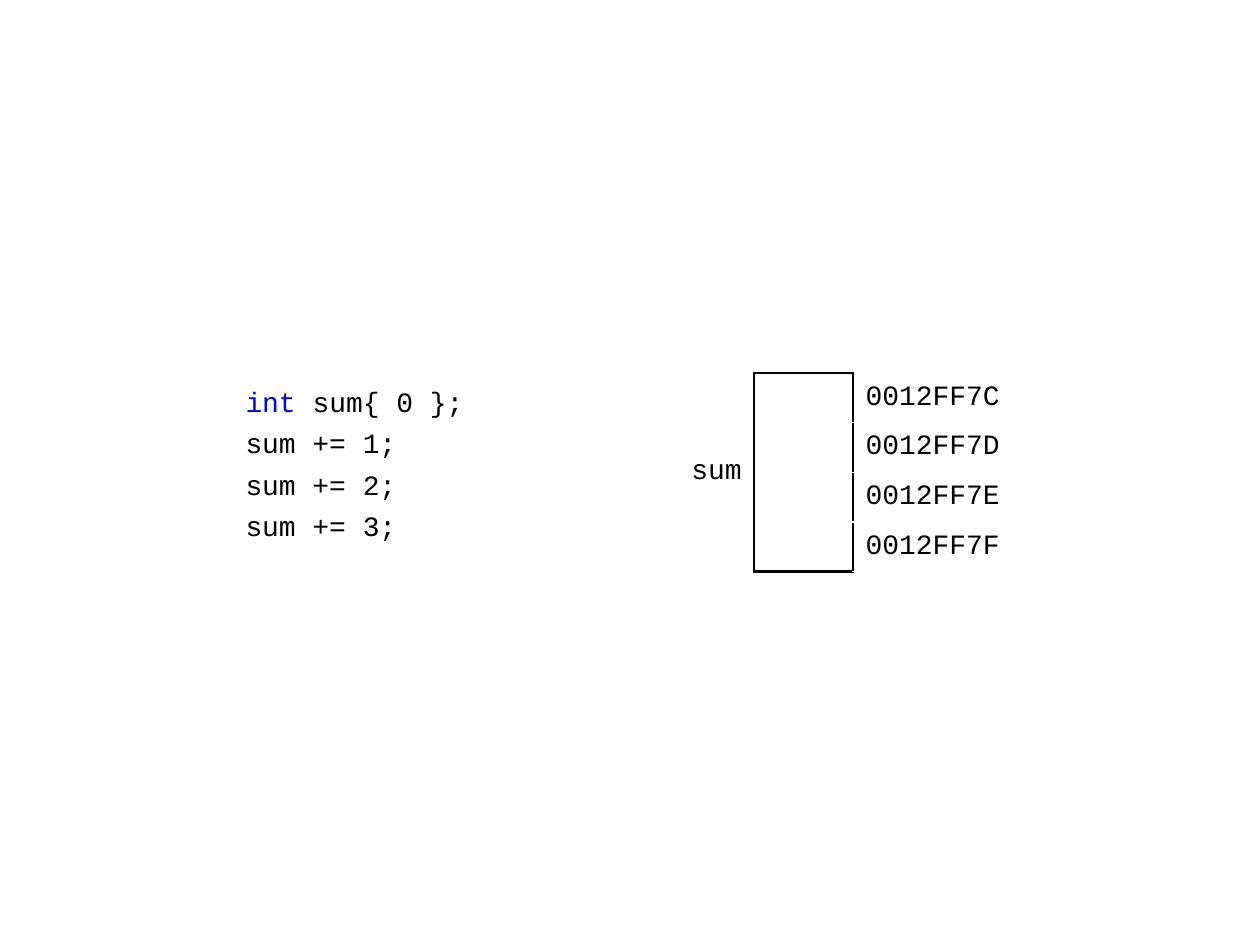
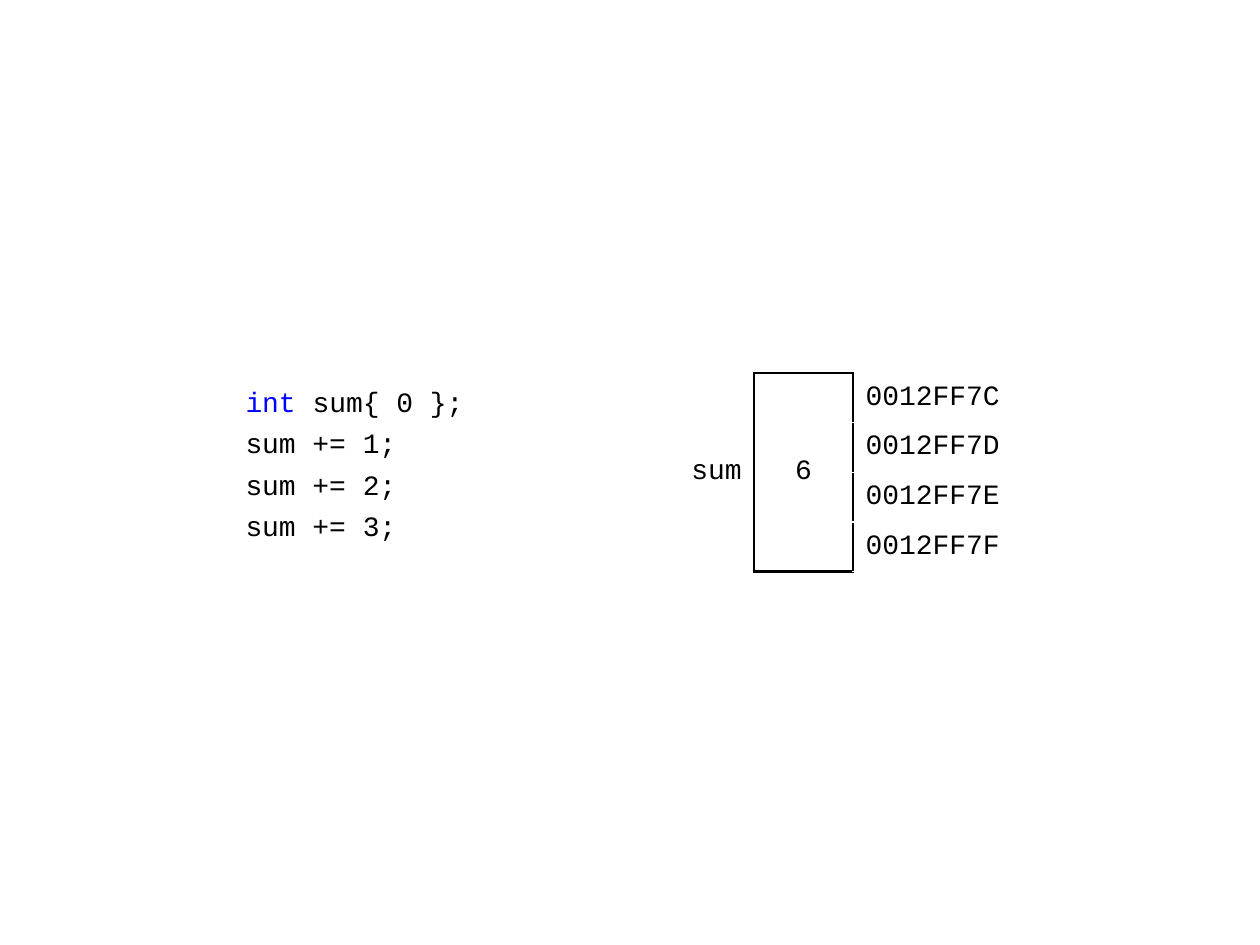
from lxml import etree
from pptx import Presentation
from pptx import util as u
from pptx.dml.color import RGBColor
from pptx.enum import text as t
from pptx.oxml import ns

# Content
CODE = [
    [("int", "keyword"), (" sum{ 0 };", "ink")],
    [("sum += 1;", "ink")],
    [("sum += 2;", "ink")],
    [("sum += 3;", "ink")],
]
VARIABLE = "sum"
STORED_VALUES = ["", "6"]  # one per slide
ADDRESSES = ["0012FF7C", "0012FF7D", "0012FF7E", "0012FF7F"]

# Shared look
COLOURS = {"ink": "000000", "keyword": "0000FF"}
FONT, SIZE = "Courier New", u.Pt(16)
TOP = u.Cm(7.52)
CODE_LEFT, CODE_WIDTH, CODE_HEIGHT = u.Cm(4.7), u.Cm(5), u.Cm(3.5)
MEMORY_LEFT, ROW_HEIGHT = u.Cm(13.2), u.Cm(1)
COLUMN_WIDTHS = [u.Cm(2), u.Cm(2), u.Cm(3.5)]
SIDE_INSET = u.Cm(0.25)
BORDER = u.Pt(1.5)


def add_run(paragraph, words, colour="ink"):
    run = paragraph.add_run()
    run.text = words
    run.font.name, run.font.size = FONT, SIZE
    run.font.color.rgb = RGBColor.from_string(COLOURS[colour])


def add_code(slide):
    frame = slide.shapes.add_textbox(CODE_LEFT, TOP, CODE_WIDTH, CODE_HEIGHT).text_frame
    frame.word_wrap = True
    frame.margin_top = u.Cm(0.24)
    for number, line in enumerate(CODE):
        paragraph = frame.add_paragraph() if number else frame.paragraphs[0]
        if number:
            paragraph.space_before = u.Pt(4.3)
        for words, colour in line:
            add_run(paragraph, words, colour)


def draw_border(cell, sides):
    properties = cell._tc.get_or_add_tcPr()
    for side in sides:
        line = etree.SubElement(properties, ns.qn("a:ln" + side), w=str(int(BORDER)))
        fill = etree.SubElement(line, ns.qn("a:solidFill"))
        etree.SubElement(fill, ns.qn("a:srgbClr"), val=COLOURS["ink"])


def fill_cell(cell, words, align, sides):
    draw_border(cell, sides)
    cell.fill.background()
    cell.vertical_anchor = t.MSO_ANCHOR.MIDDLE
    cell.margin_left = cell.margin_right = SIDE_INSET
    cell.margin_top = cell.margin_bottom = 0
    paragraph = cell.text_frame.paragraphs[0]
    paragraph.alignment = align
    if words:
        add_run(paragraph, words)
    else:
        paragraph.font.size = SIZE


def add_memory(slide, stored):
    last = len(ADDRESSES) - 1
    table = slide.shapes.add_table(
        len(ADDRESSES), len(COLUMN_WIDTHS), MEMORY_LEFT, TOP,
        sum(COLUMN_WIDTHS), ROW_HEIGHT * len(ADDRESSES)).table
    table.first_row = table.horz_banding = False
    for column, width in zip(table.columns, COLUMN_WIDTHS):
        column.width = width

    # The name and value span all four bytes
    for column in (0, 1):
        table.cell(0, column).merge(table.cell(last, column))

    for row, address in enumerate(ADDRESSES):
        table.rows[row].height = ROW_HEIGHT
        first = row == 0
        box_sides = "LR" + "T" * first + "B" * (first or row == last)
        fill_cell(table.cell(row, 0), VARIABLE if first else "", t.PP_ALIGN.RIGHT, "R")
        fill_cell(table.cell(row, 1), stored if first else "", t.PP_ALIGN.CENTER, box_sides)
        fill_cell(table.cell(row, 2), address, t.PP_ALIGN.LEFT, "L")


def main():
    deck = Presentation()
    deck.slide_width, deck.slide_height = u.Cm(25.4), u.Cm(19.05)
    for stored in STORED_VALUES:
        slide = deck.slides.add_slide(deck.slide_layouts[6])
        add_code(slide)
        add_memory(slide, stored)
    deck.save("out.pptx")


if __name__ == "__main__":
    main()
